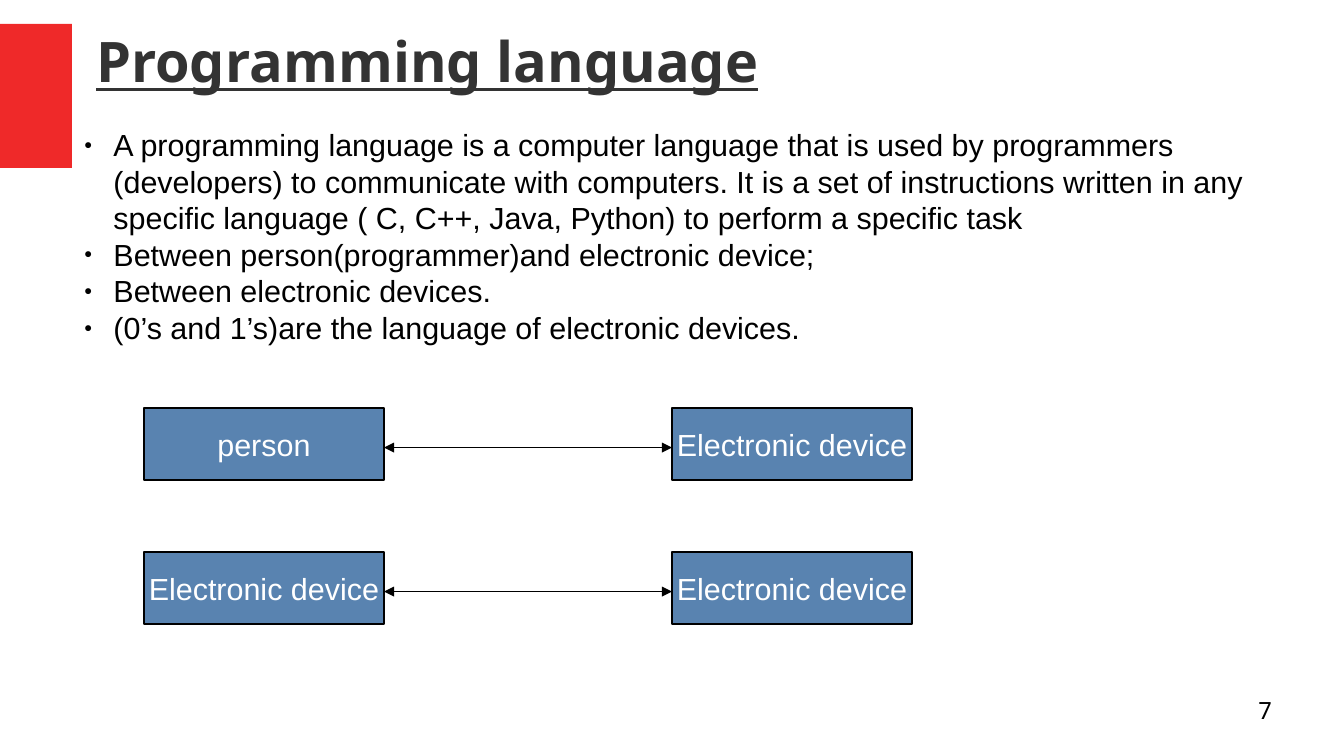
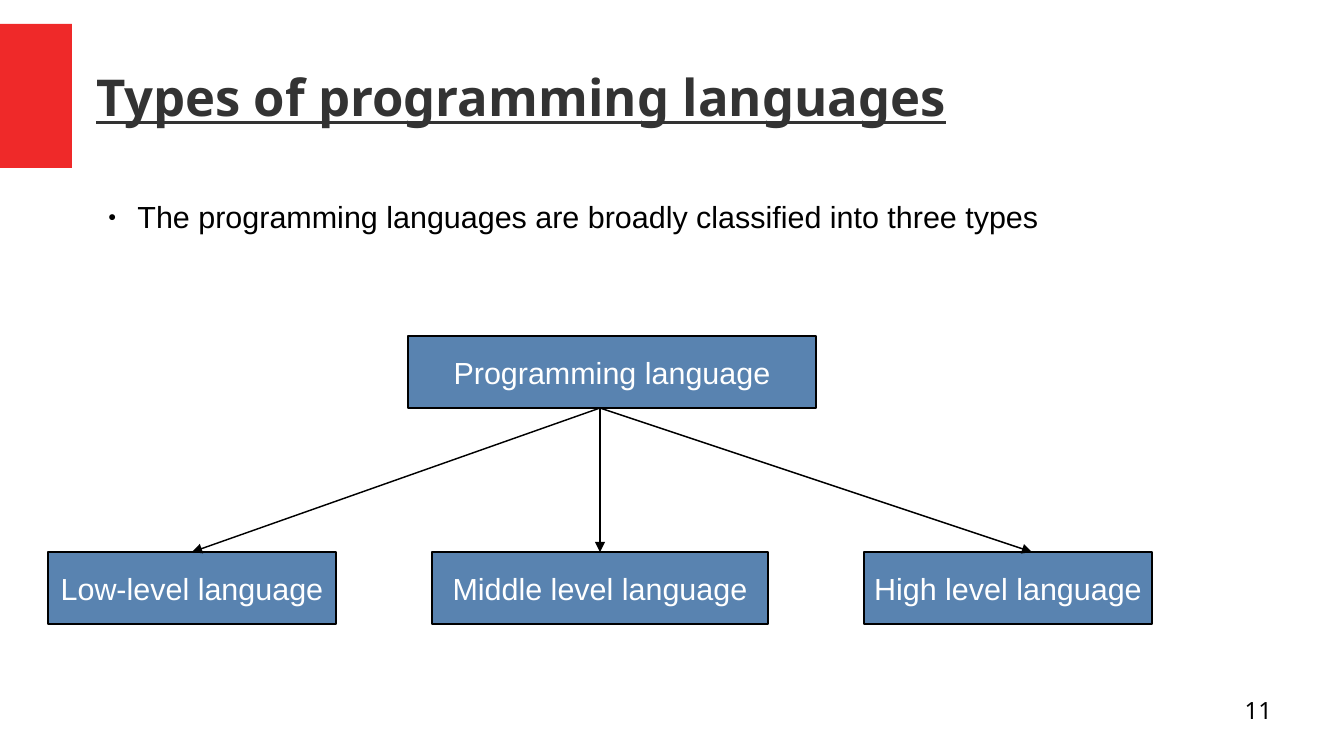
from lxml import etree
from pptx import Presentation, util as u
from pptx.dml.color import RGBColor
from pptx.enum import shapes, text
from pptx.oxml.ns import qn

COLORS = {"band": "EF2929", "title": "333333", "ink": "000000",
          "box": "5983B0", "label": "FFFFFF"}
HEAD_FONT, BODY_FONT = "Noto Sans", "Arial"
COLS, ROWS = 56, 31.5
BOX_ROWS = 3
LINE_WIDTH = u.Pt(0.85)
BULLETS = [
    "A programming language is a computer language that is used by programmers "
    "(developers) to communicate with computers. It is a set of instructions "
    "written in any specific language ( C, C++, Java, Python) to perform a "
    "specific task",
    "Between person(programmer)and electronic device;",
    "Between electronic devices.",
    "(0’s and 1’s)are the language of electronic devices.",
]


def grid(*cells):
    """Turn grid columns and rows of half a centimetre into lengths."""
    return [u.Cm(cell / 2) for cell in cells]


def rgb(name):
    """Look up a named colour."""
    return RGBColor.from_string(COLORS[name])


def place(sp, box):
    """Move a shape to a grid box of left, top, width and height."""
    sp.left, sp.top, sp.width, sp.height = grid(*box)


def write(p, content, size=18, font=BODY_FONT, color="ink", bold=None,
          underline=None, align=text.PP_ALIGN.LEFT):
    """Write one formatted run into a paragraph."""
    p.alignment = align
    r = p.add_run()
    r.text = content
    r.font.size, r.font.name = u.Pt(size), font
    r.font.bold, r.font.underline = bold, underline
    r.font.color.rgb = rgb(color)


def frame(sp, wrap=True, anchor=text.MSO_ANCHOR.TOP, inset=(0, 0)):
    """Set up the text frame of a shape and return it."""
    tf = sp.text_frame
    tf.auto_size = text.MSO_AUTO_SIZE.NONE
    tf.word_wrap, tf.vertical_anchor = wrap, anchor
    tf.margin_left = tf.margin_right = u.Inches(inset[0])
    tf.margin_top = tf.margin_bottom = u.Inches(inset[1])
    return tf


def add_rect(s, box, fill, outlined=True):
    """Add a flat rectangle."""
    sp = s.shapes.add_shape(shapes.MSO_SHAPE.RECTANGLE, *grid(*box))
    sp.shadow.inherit = False
    sp.fill.solid()
    sp.fill.fore_color.rgb = rgb(fill)
    if outlined:
        sp.line.color.rgb = rgb("ink")
        sp.line.width = LINE_WIDTH
    else:
        sp.line.fill.background()
    return sp


def add_box(s, label, left, top, width):
    """Add a labelled diagram box."""
    sp = add_rect(s, (left, top, width, BOX_ROWS), "box")
    tf = frame(sp, False, text.MSO_ANCHOR.MIDDLE, (0.1, 0.05))
    write(tf.paragraphs[0], label, color="label", align=text.PP_ALIGN.CENTER)


def add_arrow(s, start, end, ends=("tailEnd",)):
    """Add a straight line with triangle arrowheads at the given ends."""
    line = s.shapes.add_connector(shapes.MSO_CONNECTOR.STRAIGHT,
                                  *grid(*start, *end))
    line.line.color.rgb = rgb("ink")
    line.line.width = LINE_WIDTH
    ln = line.line._get_or_add_ln()
    for name in ends:
        etree.SubElement(ln, qn("a:" + name), type="triangle")
    etree.SubElement(line.element.spPr, qn("a:effectLst"))


def add_bullet(p, content):
    """Write a paragraph with a small round bullet."""
    write(p, content)
    p.space_before = p.space_after = u.Pt(0)
    p.line_spacing = u.Pt(21.6)
    pPr = p._p.get_or_add_pPr()
    indent = u.Inches(0.24)
    pPr.set("marL", str(indent))
    pPr.set("indent", str(-indent))
    color = etree.SubElement(pPr, qn("a:buClr"))
    etree.SubElement(color, qn("a:srgbClr"), val=COLORS["ink"])
    etree.SubElement(pPr, qn("a:buSzPct"), val="45000")
    etree.SubElement(pPr, qn("a:buFont"), typeface=BODY_FONT)
    etree.SubElement(pPr, qn("a:buChar"), char="●")


def add_master_band(prs, s):
    """Give the slide master the red band at the left edge."""
    band = add_rect(s, (0, 1, 3, 6), "band", outlined=False)
    band.element.xpath("p:nvSpPr/p:cNvPr")[0].set("id", "20")
    prs.slide_master.shapes.element.append(band.element)


def add_page(prs, title, title_size, title_box, bullets, body_box, number):
    """Add a slide with its title, bullet list and page number."""
    s = prs.slides.add_slide(prs.slide_layouts[1])
    heading, body = s.placeholders
    place(heading, title_box)
    tf = frame(heading, anchor=text.MSO_ANCHOR.MIDDLE)
    write(tf.paragraphs[0], title, title_size, HEAD_FONT, "title", True, True)
    place(body, body_box)
    tf = frame(body, inset=(0.1, 0.05))
    for i, bullet in enumerate(bullets):
        add_bullet(tf.add_paragraph() if i else tf.paragraphs[0], bullet)
    page = s.shapes.add_textbox(*grid(40, 29, 13, 2.2))
    write(frame(page).paragraphs[0], number, 14, HEAD_FONT,
          align=text.PP_ALIGN.RIGHT)
    return s


def add_exchange(s, pair, left, top, width=10, gap=12):
    """Add two boxes joined by a double-headed arrow."""
    right = left + width + gap
    for label, x in zip(pair, (left, right)):
        add_box(s, label, x, top, width)
    y = top + 0.55 * BOX_ROWS
    add_arrow(s, (left + width, y), (right, y), ("headEnd", "tailEnd"))


def add_tree(s, root, children, left, top, drop=9):
    """Add a root box with arrows down to its child boxes."""
    add_box(s, root, left + 15, top, 17)
    fork = (left + 23, top + BOX_ROWS)
    for label, x, width, tip in children:
        add_box(s, label, left + x, top + drop, width)
        add_arrow(s, fork, (left + tip, top + drop))


def main():
    """Build and save the presentation."""
    prs = Presentation()
    prs.slide_width, prs.slide_height = grid(COLS, ROWS)

    s = add_page(prs, "Programming language", 33, (4, 0.9, 50, 3.2),
                 BULLETS, (3, 5, 50, 10), "7")
    add_master_band(prs, s)
    for row, partner in enumerate(("person", "Electronic device")):
        add_exchange(s, (partner, "Electronic device"), 6, 17 + 6 * row)

    s = add_page(prs, "Types of programming languages", 30, (4, 1, 50, 6),
                 ["The programming languages are broadly classified into "
                  "three types"], (4, 8, 41, 2), "11")
    add_tree(s, "Programming language",
             [("Low-level language", 0, 12, 6),
              ("Middle level language", 16, 14, 23),
              ("High level language", 34, 12, 41)], 2, 14)
    prs.save("out.pptx")


if __name__ == "__main__":
    main()
